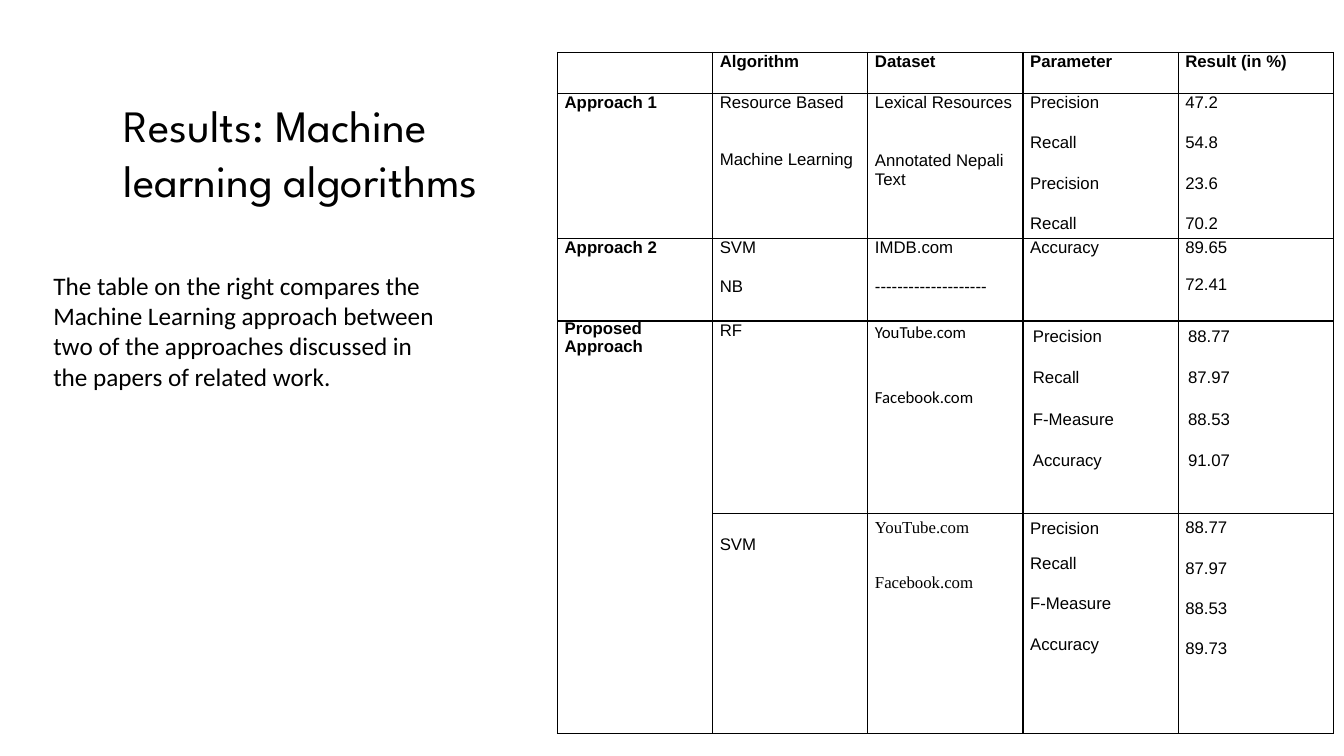
"""Builds the slide that compares machine learning results in a table."""
from lxml.etree import SubElement
from pptx import Presentation
from pptx.dml.color import RGBColor
from pptx.enum.text import MSO_ANCHOR, MSO_AUTO_SIZE, PP_ALIGN
from pptx.oxml.ns import qn
from pptx.util import Cm, Pt

BLACK = "000000"
COLUMN_WIDTH = 3.91
ROW_HEIGHTS = [0.97, 3.66, 2.08, 4.85, 5.54]
HEADINGS = ["Algorithm", "Dataset", "Parameter", "Result (in %)"]
MEASURES = ["Precision", "Recall", "F-Measure", "Accuracy"]
SITES = ["YouTube.com", "Facebook.com"]
INDENTED = {"left": 0.25, "top": 0.15, "gap": 16.2}
LOWERED = {"top": 0.13, "gap": 15.3}

RESULTS = [
    (1, 1, ["Resource Based", "Machine Learning"], {"gap": 27.4}),
    (1, 2, ["Lexical Resources", "Annotated Nepali Text"], {"gap": 28}),
    (1, 3, ["Precision", "Recall"] * 2, {"gap": 15.3}),
    (1, 4, ["47.2", "54.8", "23.6", "70.2"], {"gap": 15.3}),
    (2, 1, ["SVM", "NB"], {"gap": 14.4}),
    (2, 2, ["IMDB.com", "--------------------"], {"gap": 14.4}),
    (2, 3, ["Accuracy"], {}),
    (2, 4, ["89.65", "72.41"], {"gap": 13}),
    (3, 1, ["RF"], {}),
    (3, 2, SITES, {"gap": 31.8, "top": 0.04, "font": "Calibri"}),
    (3, 3, MEASURES, INDENTED),
    (3, 4, ["88.77", "87.97", "88.53", "91.07"], INDENTED),
    (4, 1, ["SVM"], {"top": 0.56}),
    (4, 2, SITES, {"gap": 26.2, "top": 0.13, "font": "Times New Roman"}),
    (4, 3, MEASURES, {**LOWERED, "top": 0.15, "first_gap": 11.6}),
    (4, 4, ["88.77", "87.97", "88.53", "89.73"], LOWERED),
]


def color(hex_value):
    """Turn a hex string into a colour."""
    return RGBColor.from_string(hex_value)


def apply(target, values):
    """Set every attribute named in a dict of format values."""
    for name, value in values.items():
        setattr(target, name, value)


def format_font(font, name, size, bold=False):
    """Give a font its face, size, weight and colour."""
    apply(font, {"name": name, "size": Pt(size), "bold": bold})
    font.color.rgb = color(BLACK)


def fill_placeholder(placeholder, text, box, font, size, line_spacing):
    """Move a placeholder and write one plain left-aligned paragraph."""
    apply(placeholder, dict(zip(("left", "top", "width", "height"), map(Cm, box))))
    frame = placeholder.text_frame
    frame.text = text
    apply(frame, {"word_wrap": True, "auto_size": MSO_AUTO_SIZE.NONE,
                  "vertical_anchor": MSO_ANCHOR.TOP})
    paragraph = frame.paragraphs[0]
    properties = paragraph._p.get_or_add_pPr()
    properties.set("marL", "0")
    properties.set("indent", "0")
    SubElement(properties, qn("a:buNone"))
    apply(paragraph, {"alignment": PP_ALIGN.LEFT, "space_before": Pt(0),
                      "line_spacing": line_spacing})
    format_font(paragraph.runs[0].font, font, size)


def outline_cell(cell):
    """Draw thin black borders round an unfilled cell."""
    properties = cell._tc.get_or_add_tcPr()
    for side in ("a:lnL", "a:lnR", "a:lnT", "a:lnB"):
        line = SubElement(properties, qn(side), w=str(Pt(1)))
        fill = SubElement(line, qn("a:solidFill"))
        SubElement(fill, qn("a:srgbClr"), val=BLACK)
    cell.fill.background()


def write_cell(cell, lines, gap=0, first_gap=None, left=0.18, top=0,
               font="Arial", bold=False, line_spacing=1.0):
    """Write one paragraph per line, set apart by the given gap in points."""
    apply(cell, {"margin_left": Cm(left), "margin_right": Cm(0.18),
                 "margin_top": Cm(top), "margin_bottom": Cm(0),
                 "vertical_anchor": MSO_ANCHOR.TOP})
    frame = cell.text_frame
    frame.text = "\n".join(lines)
    for index, paragraph in enumerate(frame.paragraphs):
        if index:
            first = index == 1 and first_gap is not None
            paragraph.space_before = Pt(first_gap if first else gap)
        paragraph.line_spacing = line_spacing
        format_font(paragraph.runs[0].font, font, 12, bold)


def add_results_table(slide):
    """Add the comparison table with its headings, approaches and results."""
    columns = len(HEADINGS) + 1
    table = slide.shapes.add_table(
        len(ROW_HEIGHTS), columns, Cm(14.05), Cm(1.32),
        Cm(columns * COLUMN_WIDTH), Cm(sum(ROW_HEIGHTS))).table
    apply(table, {"first_row": False, "horz_banding": False})
    for column in table.columns:
        column.width = Cm(COLUMN_WIDTH)
    for row, height in zip(table.rows, ROW_HEIGHTS):
        row.height = Cm(height)
    for cell in table.iter_cells():
        outline_cell(cell)
    table.cell(3, 0).merge(table.cell(4, 0))
    for column, heading in enumerate(HEADINGS, 1):
        write_cell(table.cell(0, column), [heading], bold=True)
    for row, approach in enumerate(["Approach 1", "Approach 2"], 1):
        write_cell(table.cell(row, 0), [approach], bold=True)
    write_cell(table.cell(3, 0), ["Proposed", "Approach"], bold=True,
               line_spacing=0.92)
    for row, column, lines, layout in RESULTS:
        write_cell(table.cell(row, column), lines, **layout)


def main():
    """Build and save the slide."""
    presentation = Presentation()
    apply(presentation, {"slide_width": Cm(33.87), "slide_height": Cm(19.05)})
    slide = presentation.slides.add_slide(presentation.slide_layouts[1])
    fill_placeholder(slide.shapes.title, "Results: Machine learning algorithms",
                     (2.87, 2.31, 11.46, 3.76), "League Spartan", 32, Pt(39.3))
    fill_placeholder(
        slide.placeholders[1],
        "The table on the right compares the Machine Learning approach between "
        "two of the approaches discussed in the papers of related work.",
        (1.09, 6.68, 10.21, 3.33), "Calibri", 18, 1.0)
    add_results_table(slide)
    presentation.save("out.pptx")


if __name__ == "__main__":
    main()
